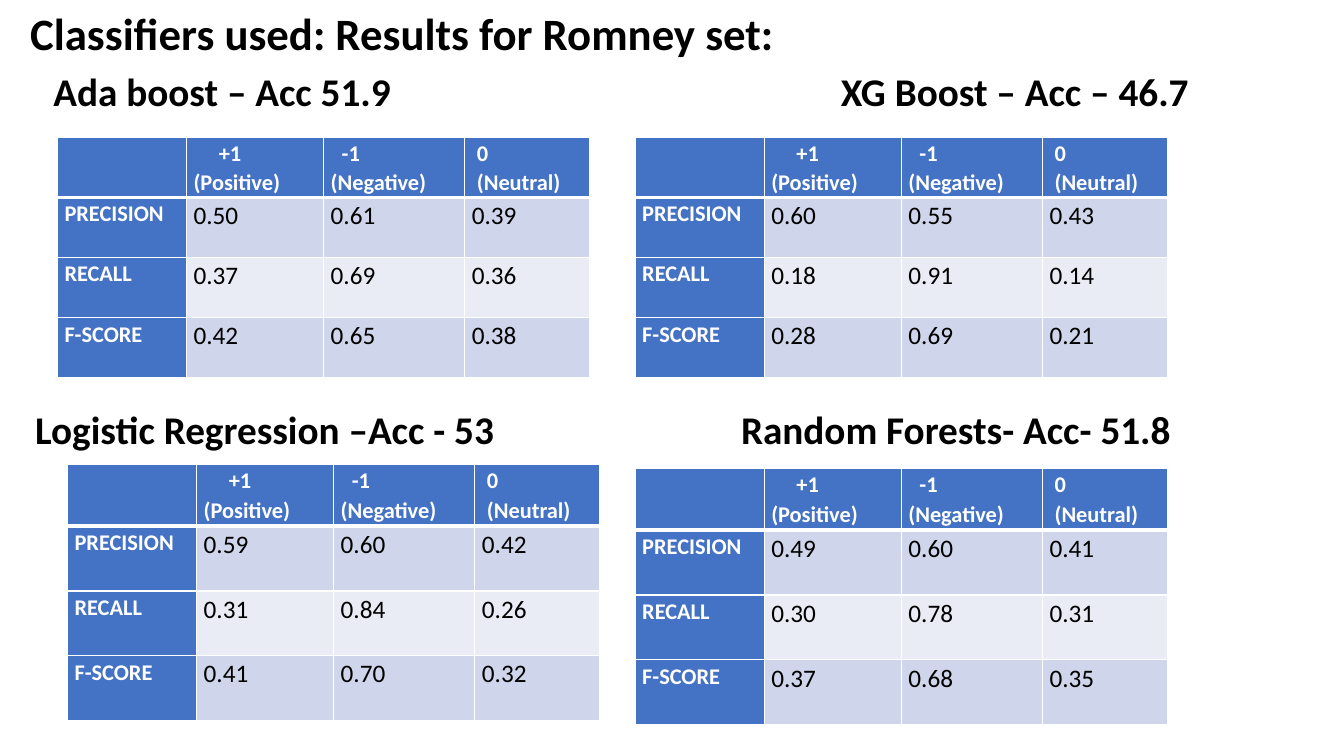
from pptx import Presentation
from pptx.dml.color import RGBColor
from pptx.enum.text import MSO_ANCHOR
from pptx.oxml.ns import qn
from pptx.util import Inches, Pt
from lxml.etree import SubElement

# Content
TITLE = "Classifiers used: Results for Romney set:"
MEASURES = ["PRECISION", "RECALL", "F-SCORE"]
# Class label, left margin and first-line indent in inches
CLASSES = [("+1\n(Positive)", 0, 0.25), ("-1\n(Negative)", 0, 0.11), ("0\n(Neutral)", 0.05, 0)]
# Heading, its left edge, table corner, band of the slide, scores by measure
CLASSIFIERS = [
    ("Logistic Regression –Acc - 53", 0.35, (0.67, 4.61), "lower",
     [("0.59", "0.60", "0.42"), ("0.31", "0.84", "0.26"), ("0.41", "0.70", "0.32")]),
    ("Ada boost – Acc 51.9", 0.53, (0.57, 1.36), "upper",
     [("0.50", "0.61", "0.39"), ("0.37", "0.69", "0.36"), ("0.42", "0.65", "0.38")]),
    ("XG Boost – Acc – 46.7", 8.34, (6.3, 1.36), "upper",
     [("0.60", "0.55", "0.43"), ("0.18", "0.91", "0.14"), ("0.28", "0.69", "0.21")]),
    ("Random Forests- Acc- 51.8", 7.35, (6.3, 4.65), "lower",
     [("0.49", "0.60", "0.41"), ("0.30", "0.78", "0.31"), ("0.37", "0.68", "0.35")]),
]

# Layout and style
BANDS = {  # heading centre, header row height, table height
    "upper": (0.93, 0.6, 2.39),
    "lower": (4.28, 0.61, 2.54),
}
COLUMNS = [1.28, 1.36, 1.4, 1.24]
COLORS = {"header": "4472C4", "odd": "CFD5EA", "even": "E9EBF5", "light": "FFFFFF", "dark": "000000"}
FONT = "Calibri"


def color(name):
    return RGBColor.from_string(COLORS[name])


def style(paragraph, size, ink, bold):
    font = paragraph.font
    font.name, font.size, font.bold = FONT, Pt(size), bold
    font.color.rgb = color(ink)


def add_heading(text, left, middle, width, size):
    height = 0.6
    box = slide.shapes.add_textbox(Inches(left), Inches(middle - height / 2), Inches(width), Inches(height))
    frame = box.text_frame
    frame.word_wrap = True
    frame.vertical_anchor = MSO_ANCHOR.MIDDLE
    frame.margin_left = frame.margin_right = 0
    heading = frame.paragraphs[0]
    heading.text = text
    heading.line_spacing = 0.9
    style(heading, size, "dark", True)


def add_borders(cell, bottom):
    properties = cell._tc.get_or_add_tcPr()
    for side, points in (("L", 1), ("R", 1), ("T", 1), ("B", bottom)):
        line = SubElement(properties, qn(f"a:ln{side}"), w=str(Pt(points)))
        SubElement(SubElement(line, qn("a:solidFill")), qn("a:srgbClr"), val=COLORS["light"])


def fill_cell(cell, text, row, column, margin=0, indent=0):
    is_label = row == 0 or column == 0
    add_borders(cell, 3 if row == 0 else 1)
    cell.fill.solid()
    cell.fill.fore_color.rgb = color("header" if is_label else "odd" if row % 2 else "even")
    cell.margin_left = cell.margin_right = Inches(0.07)
    cell.margin_top, cell.margin_bottom = Inches(0.01), 0
    entry = cell.text_frame.paragraphs[0]
    entry.text = text
    entry.line_spacing, entry.space_after = 1.07, Pt(8)
    style(entry, 16 if is_label else 18, "light" if is_label else "dark", is_label)
    if margin or indent:
        layout = entry._p.get_or_add_pPr()
        layout.set("marL", str(Inches(margin)))
        layout.set("indent", str(Inches(indent)))


def add_scores(corner, header_height, height, scores):
    left, top = corner
    rows = len(MEASURES) + 1
    table = slide.shapes.add_table(rows, len(COLUMNS), Inches(left), Inches(top),
                                   Inches(sum(COLUMNS)), Inches(height)).table
    table.first_col = True
    for column, width in zip(table.columns, COLUMNS):
        column.width = Inches(width)
    for r, row in enumerate(table.rows):
        row.height = Inches((height - header_height) / len(MEASURES) if r else header_height)

    fill_cell(table.cell(0, 0), "", 0, 0)
    for c, (label, margin, indent) in enumerate(CLASSES, 1):
        fill_cell(table.cell(0, c), label, 0, c, margin, indent)
    for r, (measure, values) in enumerate(zip(MEASURES, scores), 1):
        for c, text in enumerate((measure, *values)):
            fill_cell(table.cell(r, c), text, r, c)


presentation = Presentation()
presentation.slide_width, presentation.slide_height = Inches(13.33), Inches(7.5)
slide = presentation.slides.add_slide(presentation.slide_layouts[6])

# Title
add_heading(TITLE, 0.3, 0.36, 12, 32)

# Headings and score tables
for name, left, corner, band, scores in CLASSIFIERS:
    middle, header_height, height = BANDS[band]
    add_heading(name, left, middle, 4.9, 28)
    add_scores(corner, header_height, height, scores)

presentation.save("out.pptx")
